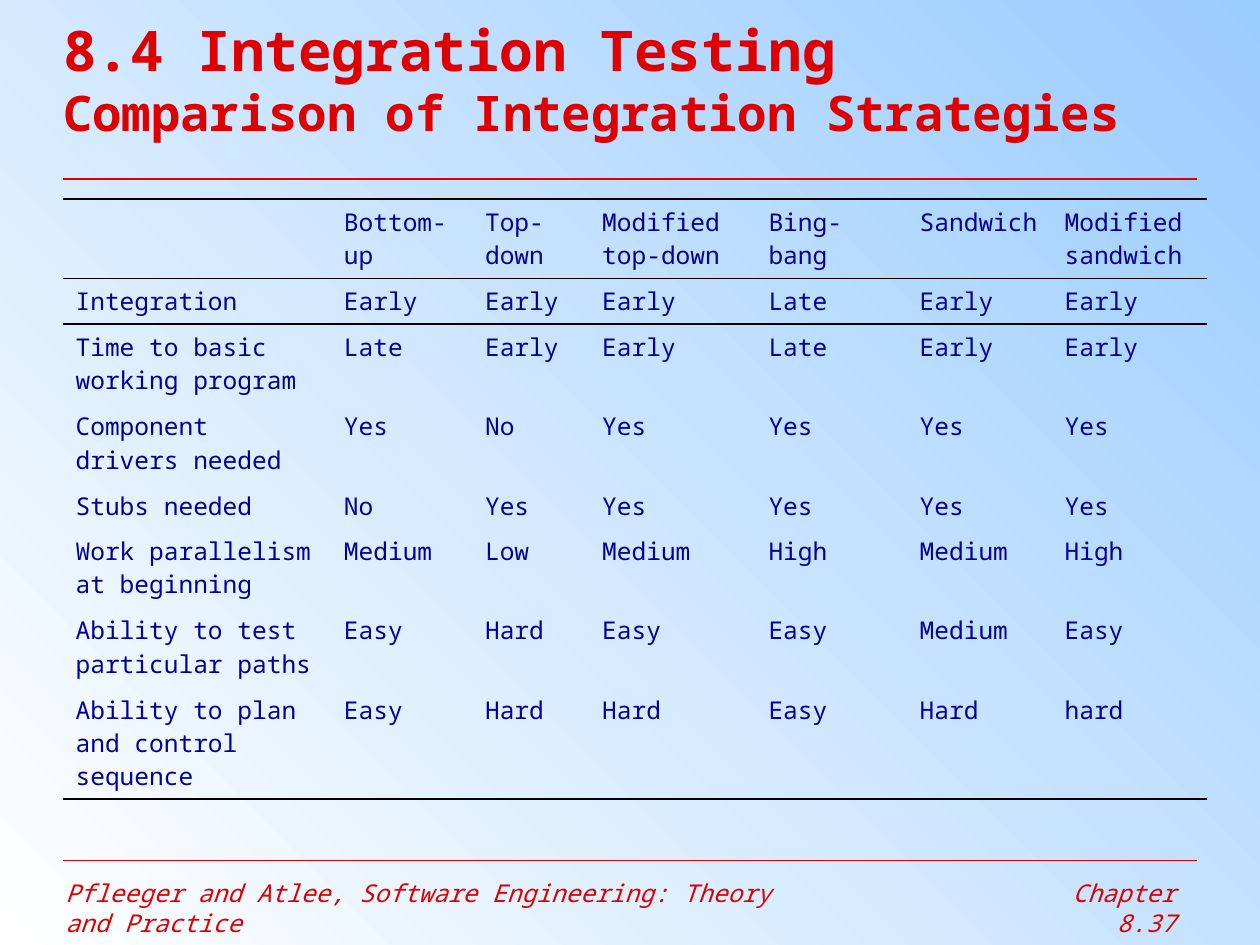
import pptx
import pptx.util
import pptx.dml.color
import pptx.enum.shapes
import pptx.enum.text
import pptx.oxml.ns
import lxml.etree

Inches = pptx.util.Inches
Pt = pptx.util.Pt
RGBColor = pptx.dml.color.RGBColor
Align = pptx.enum.text.PP_ALIGN
Anchor = pptx.enum.text.MSO_ANCHOR
qn = pptx.oxml.ns.qn

FONT = "Noto Sans Mono"
RED = RGBColor(0xDE, 0x00, 0x00)
NAVY = RGBColor(0x00, 0x00, 0x99)
BLACK = RGBColor(0x00, 0x00, 0x00)
SKY = RGBColor(0x99, 0xCC, 0xFF)
WHITE = RGBColor(0xFF, 0xFF, 0xFF)
PLAIN = "{2D5ABB26-0587-4C30-8999-92F81FD0307C}"

COLS = [2.13, 1.12, 0.93, 1.32, 1.2, 1.15, 1.23]
ROWS = [0.63, 0.36, 0.63, 0.63, 0.36, 0.63, 0.63, 0.89]
CELLS = [
    ["", "Bottom-up", "Top-down", "Modified top-down", "Bing-bang",
     "Sandwich", "Modified sandwich"],
    ["Integration", "Early", "Early", "Early", "Late", "Early", "Early"],
    ["Time to basic working program", "Late", "Early", "Early", "Late",
     "Early", "Early"],
    ["Component drivers needed", "Yes", "No", "Yes", "Yes", "Yes", "Yes"],
    ["Stubs needed", "No", "Yes", "Yes", "Yes", "Yes", "Yes"],
    ["Work parallelism at beginning", "Medium", "Low", "Medium", "High",
     "Medium", "High"],
    ["Ability to test particular paths", "Easy", "Hard", "Easy", "Easy",
     "Medium", "Easy"],
    ["Ability to plan and control sequence", "Easy", "Hard", "Hard", "Easy",
     "Hard", "hard"],
]


def paint_back(slide):
    fill = slide.background.fill
    fill.gradient()
    fill.gradient_angle = 225
    for stop, color, place in zip(fill.gradient_stops, (SKY, WHITE), (0, 1)):
        stop.color.rgb = color
        stop.position = place


def add_run(para, text, size, color, bold=False, italic=False):
    run = para.add_run()
    run.text = text
    font = run.font
    font.name = FONT
    font.size = Pt(size)
    font.color.rgb = color
    font.bold = bold
    font.italic = italic


def add_box(slide, left, top, width, height):
    box = slide.shapes.add_textbox(
        Inches(left), Inches(top), Inches(width), Inches(height))
    box.text_frame.word_wrap = True
    return box.text_frame


def add_title(slide):
    frame = add_box(slide, 0.5, 0, 8.99, 1.24)
    frame.margin_left = frame.margin_right = 0
    frame.margin_top = frame.margin_bottom = 0
    frame.vertical_anchor = Anchor.MIDDLE
    para = frame.paragraphs[0]
    add_run(para, "8.4 Integration Testing", 32, RED, bold=True)
    para.add_line_break()
    add_run(para, "Comparison of Integration Strategies", 28, RED, bold=True)


def add_foot(slide, left, width, text, align):
    para = add_box(slide, left, 6.92, width, 0.34).paragraphs[0]
    para.alignment = align
    add_run(para, text, 14, RED, italic=True)


def add_rule(slide, top, width):
    rule = slide.shapes.add_connector(
        pptx.enum.shapes.MSO_CONNECTOR.STRAIGHT,
        Inches(0.5), Inches(top), Inches(9.5), Inches(top))
    rule.line.color.rgb = RED
    rule.line.width = Pt(width)
    lxml.etree.SubElement(rule._element.spPr, qn("a:effectLst"))


def add_edge(cell, side):
    props = cell._tc.get_or_add_tcPr()
    edge = lxml.etree.SubElement(props, qn("a:ln" + side), w=str(Pt(1.08)))
    fill = lxml.etree.SubElement(edge, qn("a:solidFill"))
    lxml.etree.SubElement(fill, qn("a:srgbClr"), val=str(BLACK))


def add_grid(slide):
    shape = slide.shapes.add_table(
        len(ROWS), len(COLS), Inches(0.5), Inches(1.58),
        Inches(sum(COLS)), Inches(sum(ROWS)))
    table = shape.table
    table.first_row = table.horz_banding = False
    table._tbl.tblPr.find(qn("a:tableStyleId")).text = PLAIN
    for col, width in zip(table.columns, COLS):
        col.width = Inches(width)
    for row, height in zip(table.rows, ROWS):
        row.height = Inches(height)
    edges = {0: "TB", 1: "T", len(ROWS) - 1: "B"}
    for r, texts in enumerate(CELLS):
        for c, text in enumerate(texts):
            cell = table.cell(r, c)
            for side in edges.get(r, ""):
                add_edge(cell, side)
            cell.fill.background()
            if text:
                add_run(cell.text_frame.paragraphs[0], text, 14, NAVY)


def main():
    deck = pptx.Presentation()
    deck.slide_width = Inches(10)
    deck.slide_height = Inches(7.5)
    slide = deck.slides.add_slide(deck.slide_layouts[6])
    paint_back(slide)
    add_foot(slide, 0.42, 6,
             "Pfleeger and Atlee, Software Engineering: Theory and Practice",
             Align.LEFT)
    add_rule(slide, 6.83, 0.75)
    add_rule(slide, 1.42, 1.5)
    add_foot(slide, 7.83, 1.6, "Chapter 8.37", Align.RIGHT)
    add_title(slide)
    add_grid(slide)
    deck.save("out.pptx")


if __name__ == "__main__":
    main()
